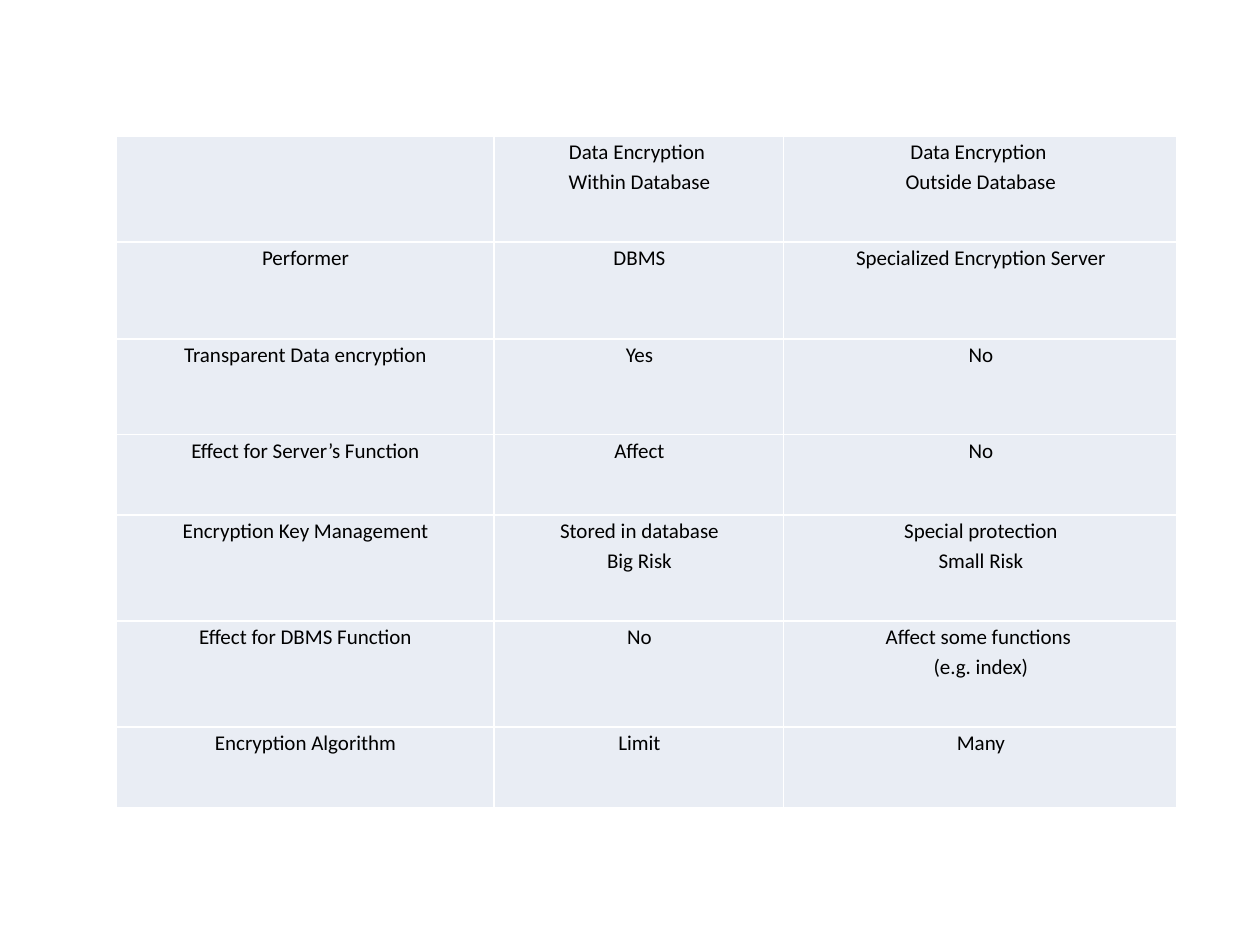
from dataclasses import dataclass

from lxml.etree import SubElement
from pptx import Presentation
from pptx.dml.color import RGBColor
from pptx.enum.text import PP_ALIGN
from pptx.oxml.ns import qn
from pptx.table import Table, _Cell
from pptx.util import Inches, Pt

WIDE, HIGH = Inches(10), Inches(7.5)
LEFT, TOP = 0.092, 0.144
COLS = (0.3, 0.23, 0.312)
PALE = RGBColor(0xE9, 0xED, 0xF4)
WHITE = RGBColor(0xFF, 0xFF, 0xFF)
BLACK = RGBColor(0, 0, 0)
FONT = "Calibri"


@dataclass(frozen=True)
class Line:
    height: float
    cells: tuple[str, str, str]
    loose: bool = True


LINES = (
    Line(0.84, ("", "Data Encryption \nWithin Database",
                "Data Encryption \nOutside Database"), loose=False),
    Line(0.77, ("Performer", "DBMS", "Specialized Encryption Server")),
    Line(0.76, ("Transparent Data encryption", "Yes", "No")),
    Line(0.64, ("Effect for Server’s Function", "Affect", "No")),
    Line(0.84, ("Encryption Key Management", "Stored in database\nBig Risk",
                "Special protection\nSmall Risk"), loose=False),
    Line(0.84, ("Effect for DBMS Function", "No",
                "Affect some functions \n(e.g. index)")),
    Line(0.64, ("Encryption Algorithm", "Limit", "Many")),
)


def edge(cell: _Cell) -> None:
    props = cell._tc.get_or_add_tcPr()
    for side in ("lnL", "lnR", "lnT", "lnB"):
        rule = SubElement(props, qn(f"a:{side}"), w=str(Pt(1)))
        fill = SubElement(rule, qn("a:solidFill"))
        SubElement(fill, qn("a:srgbClr"), val=str(WHITE))


def write(cell: _Cell, text: str, loose: bool) -> None:
    parts = text.split("\n")
    frame = cell.text_frame
    for spot, part in enumerate(parts):
        para = frame.add_paragraph() if spot else frame.paragraphs[0]
        para.alignment = PP_ALIGN.CENTER
        para.line_spacing = 1.15
        para._p.get_or_add_pPr().set("marL", str(Inches(0.01)))
        if loose and len(parts) == 1:
            para.space_before = para.space_after = Pt(12)
        para.font.size = Pt(12)
        if part:
            run = para.add_run()
            run.text = part
            run.font.name = FONT
            run.font.size = Pt(12)
            run.font.color.rgb = BLACK


def style(cell: _Cell) -> None:
    cell.margin_left = cell.margin_right = Inches(0.07)
    cell.margin_top = cell.margin_bottom = 0
    edge(cell)
    cell.fill.solid()
    cell.fill.fore_color.rgb = PALE


def fill(table: Table) -> None:
    table.first_row = table.horz_banding = False
    for col, share in zip(table.columns, COLS):
        col.width = int(WIDE * share)
    for row, line in zip(table.rows, LINES):
        row.height = Inches(line.height)
        for cell, text in zip(row.cells, line.cells):
            style(cell)
            write(cell, text, line.loose)


def main() -> None:
    deck = Presentation()
    deck.slide_width, deck.slide_height = WIDE, HIGH
    slide = deck.slides.add_slide(deck.slide_layouts[6])
    tall = Inches(sum(line.height for line in LINES))
    grid = slide.shapes.add_table(
        len(LINES), len(COLS), int(WIDE * LEFT), int(HIGH * TOP),
        int(WIDE * sum(COLS)), tall)
    fill(grid.table)
    deck.save("out.pptx")


if __name__ == "__main__":
    main()
